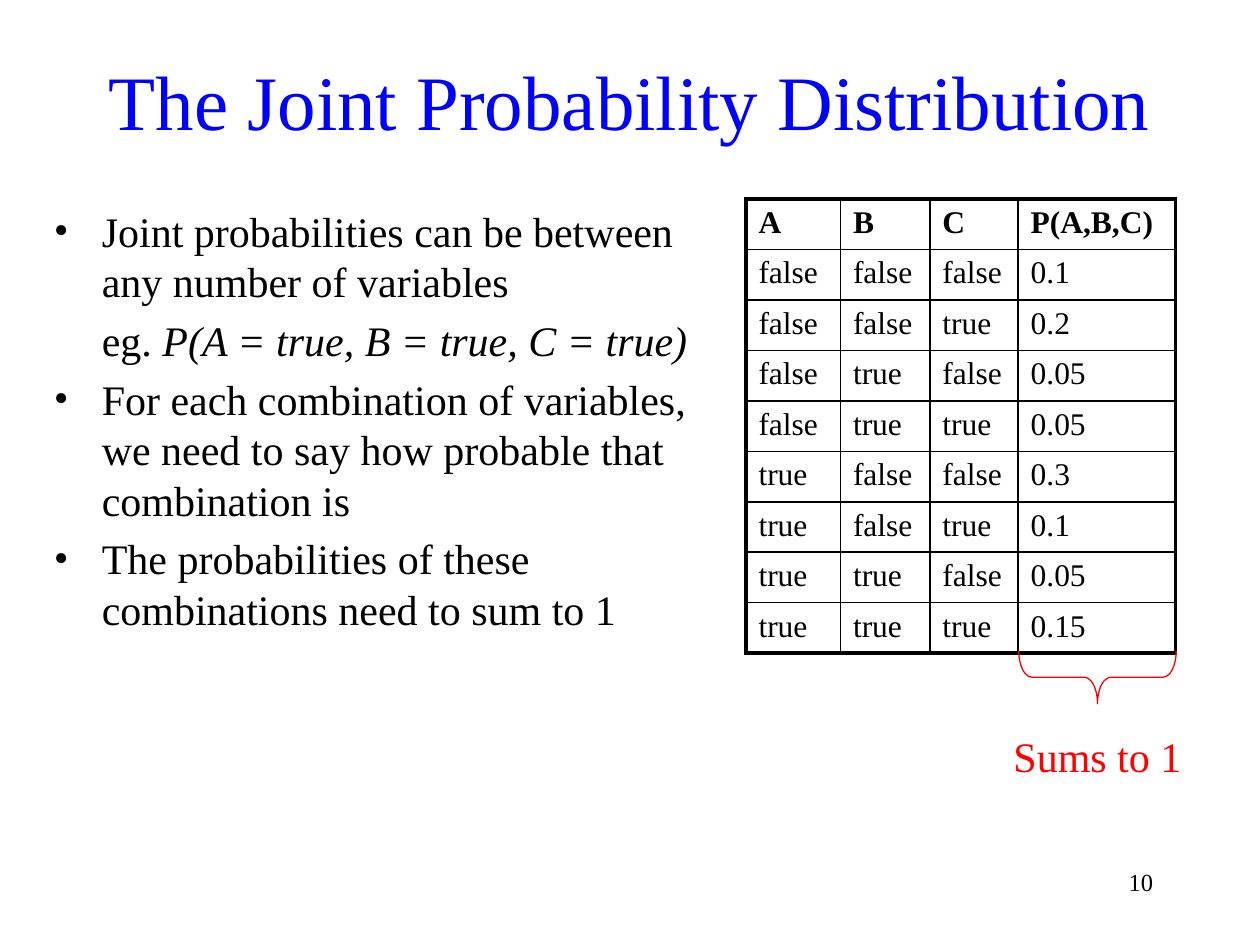
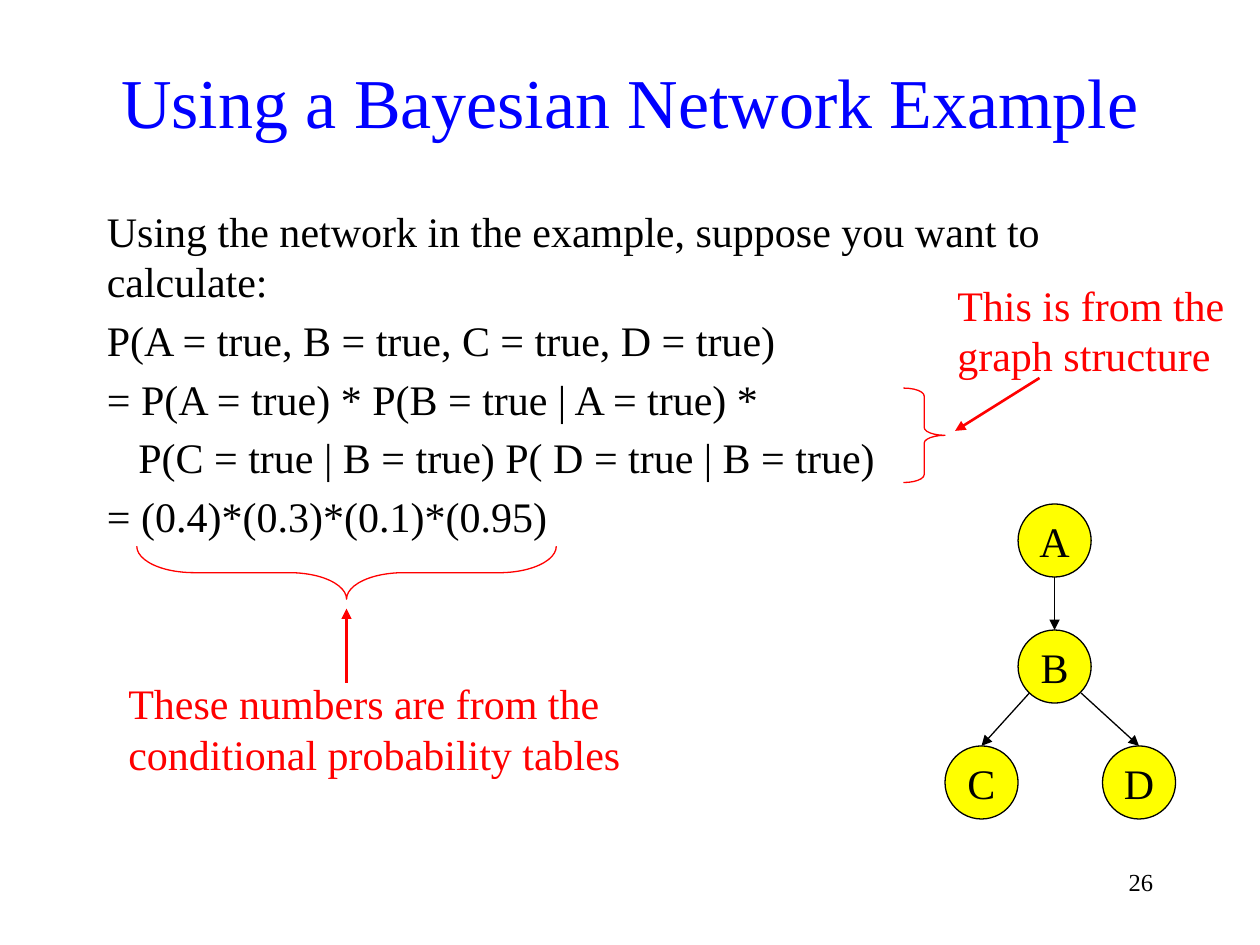
from lxml.etree import SubElement
from pptx import Presentation
from pptx.dml.color import RGBColor
from pptx.enum.shapes import MSO_CONNECTOR, MSO_SHAPE
from pptx.enum.text import MSO_ANCHOR, MSO_AUTO_SIZE, PP_ALIGN
from pptx.oxml.ns import qn
from pptx.util import Inches, Pt

COLORS = {"title": "0000FF", "text": "000000", "note": "FF0000", "node": "FFFF00"}
FONT = "Times New Roman"
BODY_SIZE = 24
BODY_GAP = Pt(0.2 * BODY_SIZE)


def write(paragraph, runs, color="text", size=BODY_SIZE, align=PP_ALIGN.LEFT):
    """Fill a paragraph with (text, font values) runs."""
    paragraph.alignment = align
    for text, values in runs:
        run = paragraph.add_run()
        run.text = text
        run.font.color.rgb = RGBColor.from_string(COLORS[color])
        for key, value in {"name": FONT, "size": Pt(size), **values}.items():
            setattr(run.font, key, value)


def add_text(slide, box, paragraphs, **style):
    """Add a wrapping text box; a paragraph is (runs, left margin, bulleted)."""
    frame = slide.shapes.add_textbox(*map(Inches, box)).text_frame
    frame.word_wrap = True
    for index, (runs, margin, bulleted) in enumerate(paragraphs):
        paragraph = frame.paragraphs[0] if index == 0 else frame.add_paragraph()
        if index:
            paragraph.space_before = BODY_GAP
        properties = paragraph._p.get_or_add_pPr()
        properties.set("marL", str(Inches(margin)))
        properties.set("indent", str(Inches(-margin if bulleted else 0)))
        if bulleted:
            SubElement(properties, qn("a:buFont"), typeface=FONT)
            SubElement(properties, qn("a:buChar"), char="•")
        write(paragraph, runs, **style)


prs = Presentation()
prs.slide_width, prs.slide_height = Inches(10), Inches(7.5)

# Titles and slide numbers
slides = []
for heading, heading_size, number in [
    ("The Joint Probability Distribution", 44, "10"),
    ("Using a Bayesian Network Example", 40, "26"),
]:
    slide = prs.slides.add_slide(prs.slide_layouts[5])
    title = slide.shapes.title
    for key, value in {"left": 0.75, "top": 0.17, "width": 8.5, "height": 1.25}.items():
        setattr(title, key, Inches(value))
    title.text_frame.auto_size = MSO_AUTO_SIZE.NONE
    title.text_frame.vertical_anchor = MSO_ANCHOR.MIDDLE
    write(title.text_frame.paragraphs[0], [(heading, {})], "title", heading_size, PP_ALIGN.CENTER)
    add_text(slide, (8.17, 6.83, 1.08, 0.5), [([(number, {})], 0, False)],
             size=14, align=PP_ALIGN.RIGHT)
    slides.append(slide)
joint, network = slides

# Points about joint probabilities
add_text(joint, (0.33, 1.58, 5.33, 3.58), [
    ([("Joint probabilities can be between any number of variables", {})], 0.38, True),
    ([("eg. ", {}), ("P(A = true, B = true, C = true)", {"italic": True})], 0.38, False),
    ([("For each combination of variables, we need to say how probable that combination is", {})],
     0.38, True),
    ([("The probabilities of these combinations need to sum to 1", {})], 0.38, True),
])

# Joint distribution table
distribution = [
    ("A", "B", "C", "P(A,B,C)"),
    ("false", "false", "false", "0.1"),
    ("false", "false", "true", "0.2"),
    ("false", "true", "false", "0.05"),
    ("false", "true", "true", "0.05"),
    ("true", "false", "false", "0.3"),
    ("true", "false", "true", "0.1"),
    ("true", "true", "false", "0.05"),
    ("true", "true", "true", "0.15"),
]
column_widths = [0.75, 0.71, 0.7, 1.25]
row_height = 0.4
last_row, last_column = len(distribution) - 1, len(column_widths) - 1
table = joint.shapes.add_table(
    len(distribution), len(column_widths), Inches(5.92), Inches(1.58),
    Inches(sum(column_widths)), Inches(row_height * len(distribution))).table
table.first_row = table.horz_banding = False
for column, width in zip(table.columns, column_widths):
    column.width = Inches(width)
for r, values in enumerate(distribution):
    table.rows[r].height = Inches(row_height)
    for c, value in enumerate(values):
        cell = table.cell(r, c)
        write(cell.text_frame.paragraphs[0], [(value, {"bold": r == 0})], size=18)
        cell_properties = cell._tc.get_or_add_tcPr()
        outer_sides = {"a:lnL": c == 0, "a:lnR": c == last_column,
                       "a:lnT": r == 0, "a:lnB": r == last_row}
        for side, is_outer in outer_sides.items():
            border = SubElement(cell_properties, qn(side), w=str(Pt(2.25 if is_outer else 1)))
            SubElement(SubElement(border, qn("a:solidFill")), qn("a:srgbClr"), val=COLORS["text"])
        cell.fill.background()

# Network calculation
add_text(network, (0.75, 1.58, 8.5, 2.83), [
    ([(line, {})], margin, False) for line, margin in [
        ("Using the network in the example, suppose you want to calculate:", 0),
        ("P(A = true, B = true, C = true, D = true)", 0),
        ("= P(A = true) * P(B = true | A = true) *", 0),
        ("P(C = true | B = true) P( D = true | B = true)", 0.25),
        ("= (0.4)*(0.3)*(0.1)*(0.95)", 0),
    ]
])

# Network nodes
nodes = {}
for letter, left, top in [("A", 8.08, 4), ("B", 8.08, 5), ("C", 7.5, 5.92), ("D", 8.75, 5.92)]:
    node = network.shapes.add_shape(
        MSO_SHAPE.OVAL, Inches(left), Inches(top), Inches(0.58), Inches(0.58))
    node.shadow.inherit = False
    node.fill.solid()
    node.fill.fore_color.rgb = RGBColor.from_string(COLORS["node"])
    node.line.color.rgb = RGBColor.from_string(COLORS["text"])
    node.line.width = Pt(0.75)
    node.text_frame.word_wrap = False
    node.text_frame.vertical_anchor = MSO_ANCHOR.MIDDLE
    write(node.text_frame.paragraphs[0], [(letter, {})], align=PP_ALIGN.CENTER)
    nodes[letter] = node

# Arrows: between the nodes, then from the notes to their braces
for start, end, color, width, target in [
    ((8.37, 4.58), (8.37, 5), "text", 0.75, "B"),
    ((8.17, 5.5), (7.79, 5.92), "text", 0.75, "C"),
    ((8.58, 5.5), (9.04, 5.92), "text", 0.75, "D"),
    ((8.25, 3), (7.58, 3.42), "note", 1.5, None),
    ((2.75, 5.42), (2.75, 4.83), "note", 1.5, None),
]:
    arrow = network.shapes.add_connector(MSO_CONNECTOR.STRAIGHT, *map(Inches, start + end))
    if target:
        arrow.end_connect(nodes[target], 0)
    arrow.line.color.rgb = RGBColor.from_string(COLORS[color])
    arrow.line.width = Pt(width)
    arrow_properties = arrow._element.spPr
    SubElement(arrow_properties.find(qn("a:ln")), qn("a:tailEnd"), type="triangle")
    SubElement(arrow_properties, qn("a:effectLst"))

# Braces with their notes
for slide, brace_box, rotation, curve, note, note_box, align in [
    (joint, (8.5, 4.75, 0.42, 1.25), 90, 0.25,
     "Sums to 1", (7.92, 5.75, 1.58, 0.5), PP_ALIGN.CENTER),
    (network, (7.17, 3.08, 0.33, 0.75), 0, 0.19,
     "This is from the graph structure", (7.5, 2.17, 2.33, 0.9), PP_ALIGN.LEFT),
    (network, (2.54, 2.88, 0.42, 3.33), 90, 1.08,
     "These numbers are from the conditional probability tables",
     (0.92, 5.33, 4.25, 0.9), PP_ALIGN.LEFT),
]:
    brace = slide.shapes.add_shape(MSO_SHAPE.RIGHT_BRACE, *map(Inches, brace_box))
    brace.rotation = rotation
    brace.adjustments[0] = curve
    brace.shadow.inherit = False
    brace.fill.background()
    brace.line.color.rgb = RGBColor.from_string(COLORS["note"])
    brace.line.width = Pt(0.75)
    add_text(slide, note_box, [([(note, {})], 0, False)], color="note", align=align)

prs.save("out.pptx")
